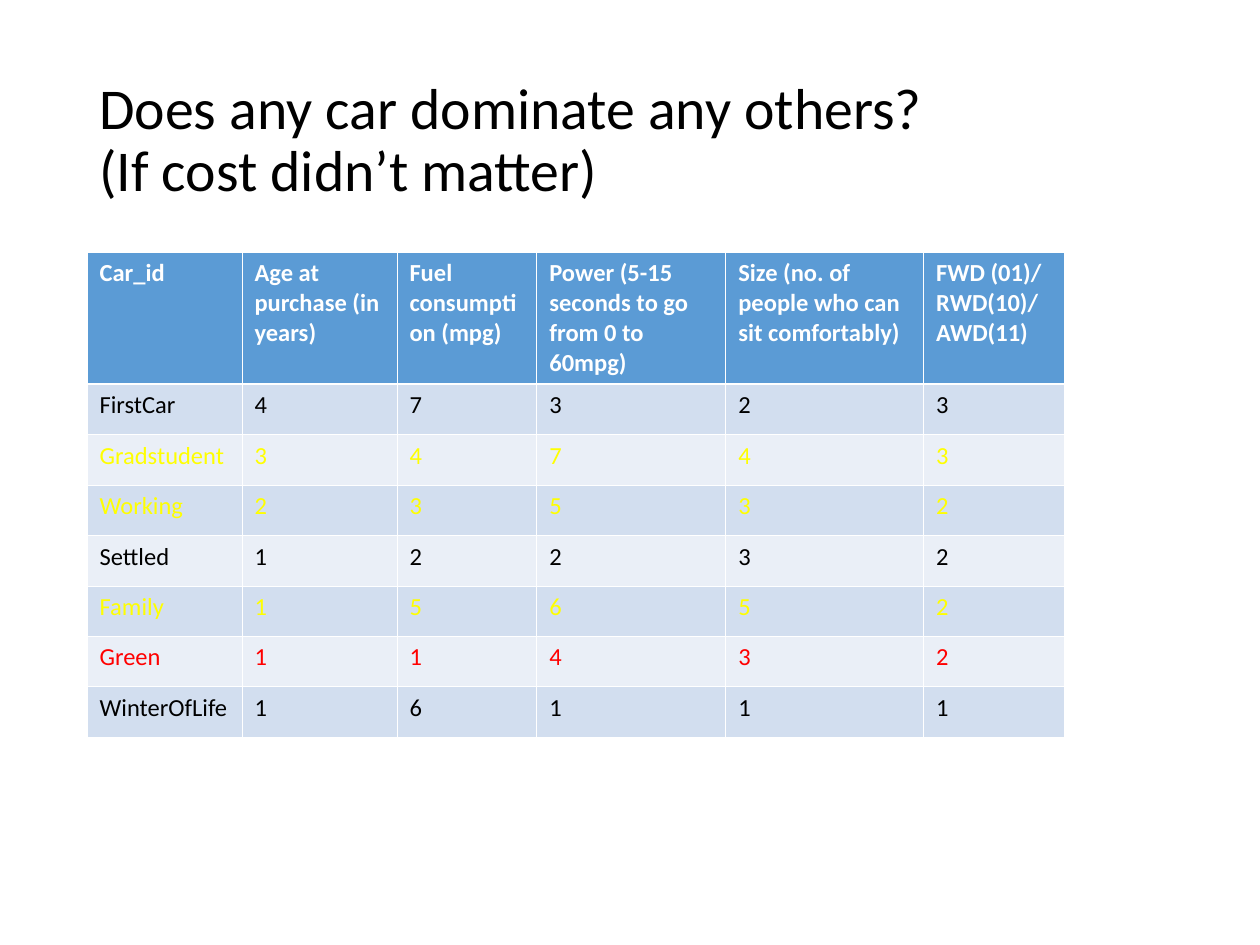
from lxml import etree
from pptx import Presentation
from pptx.dml.color import RGBColor
from pptx.enum.text import MSO_ANCHOR
from pptx.oxml.ns import qn
from pptx.util import Inches, Pt

MIDDLE = MSO_ANCHOR.MIDDLE
BLACK = RGBColor(0x00, 0x00, 0x00)
WHITE = RGBColor(0xFF, 0xFF, 0xFF)
YELLOW = RGBColor(0xFF, 0xFF, 0x00)
RED = RGBColor(0xFF, 0x00, 0x00)
HEADER_BLUE = RGBColor(0x5B, 0x9B, 0xD5)
BAND_DARK = RGBColor(0xD2, 0xDE, 0xEF)
BAND_LIGHT = RGBColor(0xEA, 0xEF, 0xF7)
THIN, THICK = Pt(0.45), Pt(1.47)

COLUMN_WIDTHS = [1.23, 1.23, 1.11, 1.5, 1.57, 1.12]
HEADER_HEIGHT, CAR_HEIGHT = 1.05, 0.4
HEADINGS = [
    "Car_id",
    "Age at purchase (in years)",
    "Fuel consumption (mpg)",
    "Power (5-15 seconds to go from 0 to 60mpg)",
    "Size (no. of people who can sit comfortably)",
    "FWD (01)/ RWD(10)/ AWD(11)",
]
# Text colour, then car and its ranks
CARS = [
    (BLACK, ["FirstCar", 4, 7, 3, 2, 3]),
    (YELLOW, ["Gradstudent", 3, 4, 7, 4, 3]),
    (YELLOW, ["Working", 2, 3, 5, 3, 2]),
    (BLACK, ["Settled", 1, 2, 2, 3, 2]),
    (YELLOW, ["Family", 1, 5, 6, 5, 2]),
    (RED, ["Green", 1, 1, 4, 3, 2]),
    (BLACK, ["WinterOfLife", 1, 6, 1, 1, 1]),
]


def write(paragraph, text, color, **font_format):
    paragraph.text = text
    for run in paragraph.runs:
        run.font.color.rgb = color
        for attribute, value in font_format.items():
            setattr(run.font, attribute, value)


def add_borders(cell, widths):
    properties = cell._tc.get_or_add_tcPr()
    for position, (side, width) in enumerate(widths.items()):
        line = etree.Element(qn(f"a:ln{side}"), w=str(int(width)))
        fill = etree.SubElement(line, qn("a:solidFill"))
        etree.SubElement(fill, qn("a:srgbClr"), val=str(WHITE))
        properties.insert(position, line)


prs = Presentation()
prs.slide_width, prs.slide_height = Inches(10), Inches(7.5)
slide = prs.slides.add_slide(prs.slide_layouts[6])

# Title
title = slide.shapes.add_textbox(
    Inches(0.69), Inches(0.4), Inches(8.63), Inches(1.45)
).text_frame
title.word_wrap = True
title.vertical_anchor = MIDDLE
question = title.paragraphs[0]
question.line_spacing = 0.9
write(question, "Does any car dominate any others? \v(If cost didn’t matter)",
      BLACK, name="Calibri", size=Pt(33))

# Car ranking table
rows = [(WHITE, HEADINGS)] + CARS
ranking = slide.shapes.add_table(
    len(rows), len(HEADINGS), Inches(0.69), Inches(2),
    Inches(sum(COLUMN_WIDTHS)), Inches(HEADER_HEIGHT + CAR_HEIGHT * len(CARS)),
).table
for column, width in zip(ranking.columns, COLUMN_WIDTHS):
    column.width = Inches(width)

for r, (color, values) in enumerate(rows):
    is_header = r == 0
    ranking.rows[r].height = Inches(HEADER_HEIGHT if is_header else CAR_HEIGHT)
    band = HEADER_BLUE if is_header else BAND_DARK if r % 2 else BAND_LIGHT
    borders = {
        "L": THIN,
        "R": THIN,
        "T": THICK if r == 1 else THIN,
        "B": THICK if is_header else THIN,
    }
    for c, value in enumerate(values):
        cell = ranking.cell(r, c)
        cell.fill.solid()
        cell.fill.fore_color.rgb = band
        add_borders(cell, borders)
        write(cell.text_frame.paragraphs[0], str(value), color,
              name="Calibri", size=Pt(14), bold=is_header)

prs.save("out.pptx")
